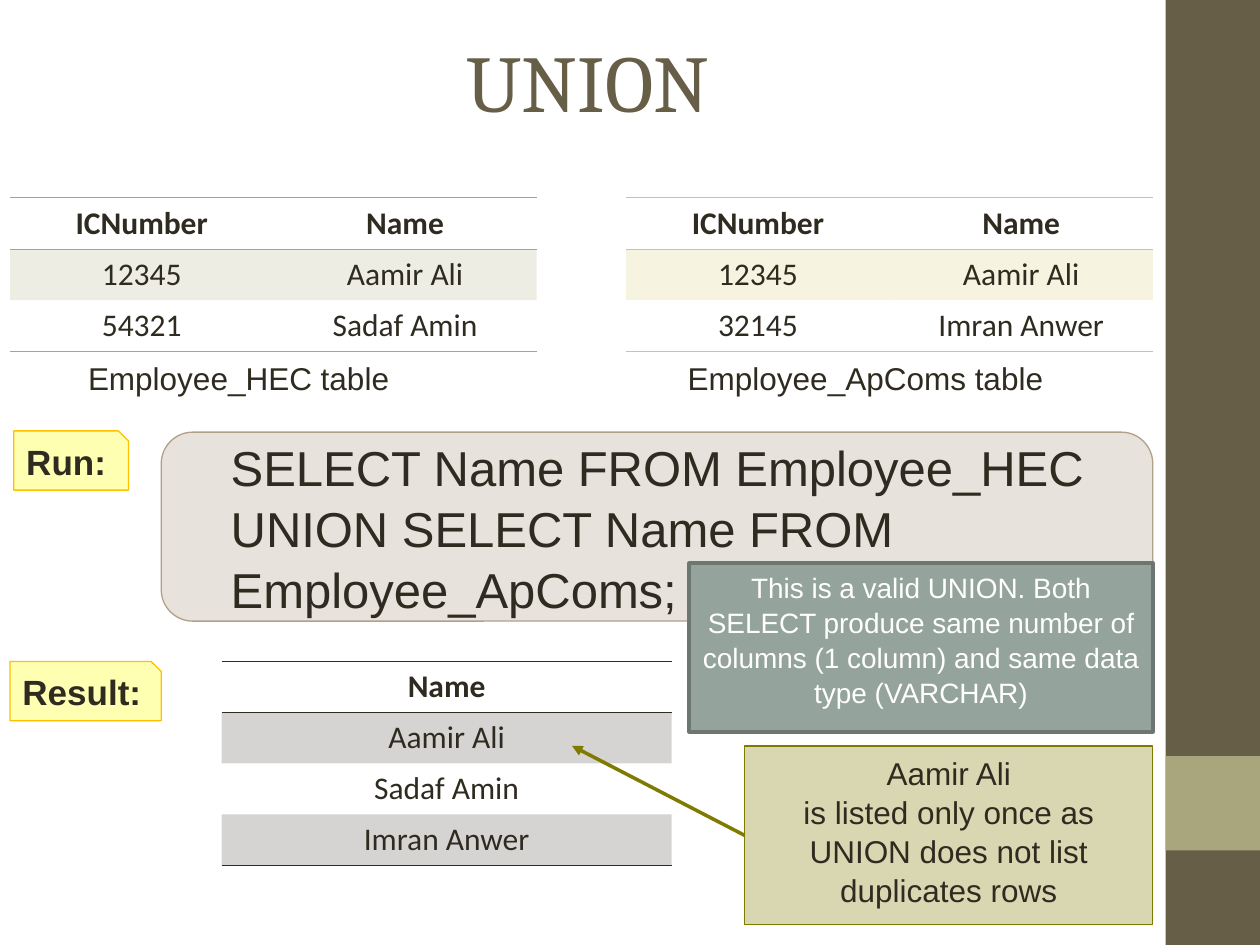
from dataclasses import dataclass

from lxml.etree import SubElement
from pptx import Presentation
from pptx.dml.color import RGBColor as Rgb
from pptx.enum.shapes import MSO_CONNECTOR as Link, MSO_SHAPE as Geo
from pptx.enum.text import MSO_ANCHOR as Anchor, PP_ALIGN as Align
from pptx.oxml import parse_xml
from pptx.oxml.ns import nsdecls, qn
from pptx.util import Inches, Pt


@dataclass(frozen=True)
class Theme:
    ink: str = "2F2B20"
    brown: str = "675E47"
    sage: str = "A9A57C"
    straw: str = "D2CB6C"
    taupe: str = "B1A089"
    olive: str = "7F7B00"
    yellow: str = "FFFF00"
    amber: str = "FFC000"
    slate: str = "95A39D"
    steel: str = "6C7772"
    white: str = "FFFFFF"
    head: str = "Cambria"
    grid: str = "Calibri"
    body: str = "Arial"
    title: float = 46
    code: float = 28
    tag: float = 20
    text: float = 18
    note: float = 16
    rule: float = 0.45
    thin: float = 0.75
    thick: float = 2


T = Theme()


@dataclass(frozen=True)
class Box:
    x: float
    y: float
    w: float
    h: float

    def emu(self) -> list:
        return [Inches(v) for v in (self.x, self.y, self.w, self.h)]


@dataclass(frozen=True)
class Grid:
    box: Box
    rows: list
    tint: str


@dataclass(frozen=True)
class Tag:
    box: Box
    text: str


@dataclass(frozen=True)
class Label:
    box: Box
    text: str


def apply(obj, fmt: dict) -> None:
    for key, val in fmt.items():
        setattr(obj, key, val)


def paint(fill, tint: str, alpha: int = 100) -> None:
    """Fill with a solid colour at the given percent of opacity."""
    fill.solid()
    fill.fore_color.rgb = Rgb.from_string(tint)
    if alpha < 100:
        tone = fill._xPr.find(".//" + qn("a:srgbClr"))
        SubElement(tone, qn("a:alpha"), val=str(alpha * 1000))


def stroke(line, tint: str, width: float) -> None:
    line.color.rgb = Rgb.from_string(tint)
    line.width = Pt(width)


def dress(shape, tint: str, alpha: int = 100, edge: str = "", width: float = T.thin) -> None:
    shape.shadow.inherit = False
    paint(shape.fill, tint, alpha)
    if edge:
        stroke(shape.line, edge, width)
    else:
        shape.line.fill.background()


def write(frame, text: str, size: float = T.text, face: str = T.body, tint: str = T.ink,
          bold: bool = False, align=Align.LEFT, anchor=Anchor.TOP, lead: float = 1.04) -> None:
    apply(frame, {"text": text, "word_wrap": True, "vertical_anchor": anchor})
    for para in frame.paragraphs:
        apply(para, {"alignment": align, "line_spacing": lead})
        for run in para.runs:
            apply(run.font, {"size": Pt(size), "name": face, "bold": bold})
            run.font.color.rgb = Rgb.from_string(tint)


def border(cell, edges: dict) -> None:
    """Rule the named sides of a cell and clear the others."""
    props = cell._tc.get_or_add_tcPr()
    for pos, side in enumerate("LRTB"):
        tint = edges.get(side)
        ink = f'<a:solidFill><a:srgbClr val="{tint}"/></a:solidFill>' if tint else "<a:noFill/>"
        props.insert(pos, parse_xml(
            f'<a:ln{side} {nsdecls("a")} w="{Pt(T.rule)}">{ink}</a:ln{side}>'))


def draw_grid(shapes, grid: Grid) -> None:
    count, last = len(grid.rows[0]), len(grid.rows) - 1
    table = shapes.add_table(last + 1, count, *grid.box.emu()).table
    for col in table.columns:
        col.width = Inches(grid.box.w / count)
    for r, row in enumerate(grid.rows):
        table.rows[r].height = Inches(grid.box.h / (last + 1))
        for c, text in enumerate(row):
            cell = table.cell(r, c)
            if r % 2:
                paint(cell.fill, grid.tint, 20)
            else:
                cell.fill.background()
            edges = {}
            if r < 2:
                edges["T"] = grid.tint
            if r in (0, last):
                edges["B"] = grid.tint
            border(cell, edges)
            write(cell.text_frame, text, face=T.grid, bold=r == 0,
                  align=Align.CENTER, lead=1.0)


def draw_tag(shapes, tag: Tag, snip: float = 0.08) -> None:
    """Draw a yellow label with its top right corner cut."""
    b = tag.box
    right, low = b.x + b.w, b.y + b.h
    spots = [(right - snip, b.y), (right, b.y + snip), (right, low), (b.x, low)]
    pen = shapes.build_freeform(Inches(b.x), Inches(b.y))
    pen.add_line_segments([(Inches(x), Inches(y)) for x, y in spots], close=True)
    shape = pen.convert_to_shape()
    dress(shape, T.yellow, 30, T.amber)
    write(shape.text_frame, tag.text, T.tag, bold=True, anchor=Anchor.MIDDLE)


def draw_arrow(shapes, start, x: float, y: float) -> None:
    """Point from the left side of a shape to a spot."""
    line = shapes.add_connector(Link.STRAIGHT, start.left, start.top + start.height // 2,
                                Inches(x), Inches(y))
    line.begin_connect(start, 1)
    stroke(line.line, T.olive, T.thick)
    SubElement(line.line._get_or_add_ln(), qn("a:tailEnd"), type="triangle")
    SubElement(line._element.spPr, qn("a:effectLst"))


GRIDS = [
    Grid(Box(0.08, 1.57, 4.18, 1.22),
         [("ICNumber", "Name"), ("12345", "Aamir Ali"), ("54321", "Sadaf Amin")], T.sage),
    Grid(Box(4.97, 1.57, 4.18, 1.22),
         [("ICNumber", "Name"), ("12345", "Aamir Ali"), ("32145", "Imran Anwer")], T.straw),
    Grid(Box(1.76, 5.25, 3.57, 1.62),
         [("Name",), ("Aamir Ali",), ("Sadaf Amin",), ("Imran Anwer",)], T.ink),
]
LABELS = [Label(Box(0.6, 2.79, 3.15, 0.4), "Employee_HEC table"),
          Label(Box(5.36, 2.79, 3.39, 0.4), "Employee_ApComs table")]
TAGS = [Tag(Box(0.08, 5.25, 1.2, 0.47), "Result:"), Tag(Box(0.11, 3.42, 0.91, 0.47), "Run:")]
BANDS = [(Box(9.25, 0, 0.75, 7.5), T.brown), (Box(9.25, 6, 0.75, 0.75), T.sage)]


def main() -> None:
    deck = Presentation()
    apply(deck, {"slide_width": Inches(10), "slide_height": Inches(7.5)})
    shapes = deck.slides.add_slide(deck.slide_layouts[6]).shapes

    for box, tint in BANDS:
        dress(shapes.add_shape(Geo.RECTANGLE, *box.emu()), tint)
    title = shapes.add_textbox(*Box(0.5, 0, 8.33, 1.25).emu())
    write(title.text_frame, "UNION", T.title, T.head, T.brown,
          align=Align.CENTER, anchor=Anchor.MIDDLE)

    query = shapes.add_shape(Geo.ROUNDED_RECTANGLE, *Box(1.28, 3.43, 7.87, 1.5).emu())
    dress(query, T.taupe, 30, T.taupe)
    write(query.text_frame,
          "SELECT Name FROM Employee_HEC UNION SELECT Name FROM Employee_ApComs;",
          T.code, anchor=Anchor.MIDDLE)
    query.text_frame.paragraphs[0]._p.get_or_add_pPr().set("marL", str(Inches(0.38)))

    for grid in GRIDS:
        draw_grid(shapes, grid)
    for label in LABELS:
        write(shapes.add_textbox(*label.box.emu()).text_frame, label.text)

    group = shapes.add_group_shape().shapes
    once = group.add_shape(Geo.RECTANGLE, *Box(5.91, 5.92, 3.24, 1.42).emu())
    dress(once, T.olive, 30, T.olive)
    write(once.text_frame,
          "Aamir Ali\nis listed only once as UNION does not list duplicates rows",
          align=Align.CENTER)
    draw_arrow(group, once, 4.54, 5.92)

    for tag in TAGS:
        draw_tag(shapes, tag)
    valid = shapes.add_shape(Geo.RECTANGLE, *Box(5.47, 4.47, 3.68, 1.34).emu())
    dress(valid, T.slate, edge=T.steel, width=T.thick)
    write(valid.text_frame, "This is a valid UNION. Both SELECT produce same number of "
          "columns (1 column) and same data type (VARCHAR)",
          T.note, tint=T.white, align=Align.CENTER)
    deck.save("out.pptx")


if __name__ == "__main__":
    main()
